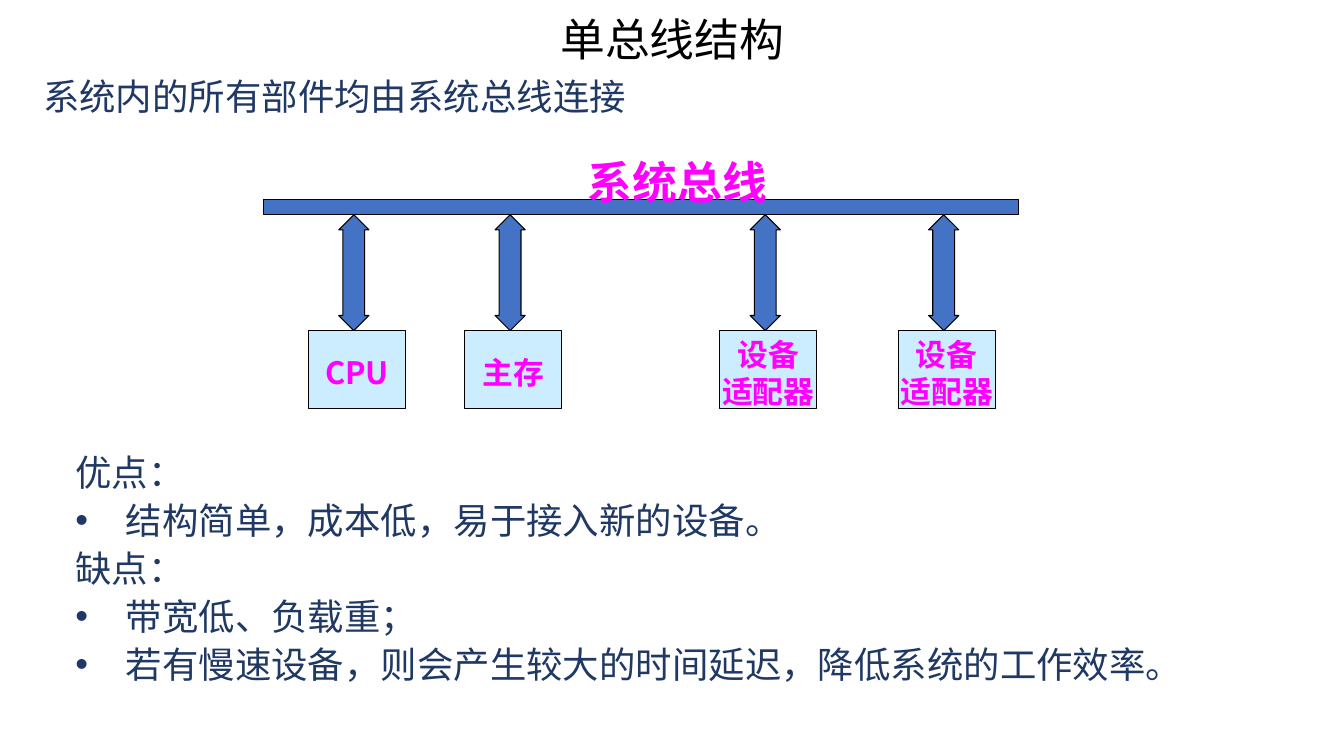
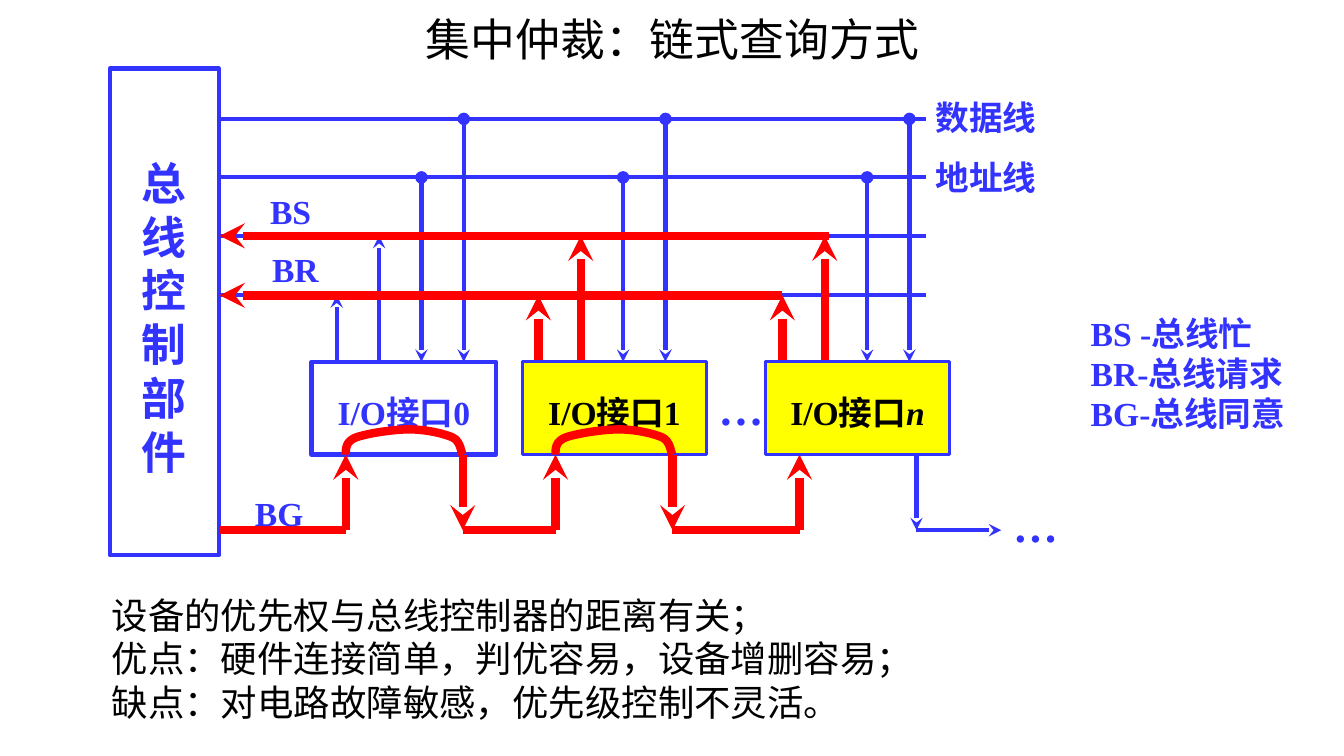
from lxml.etree import SubElement
from pptx import Presentation
from pptx.dml.color import RGBColor
from pptx.enum.shapes import MSO_CONNECTOR, MSO_SHAPE
from pptx.enum.text import MSO_ANCHOR, PP_ALIGN
from pptx.oxml.ns import qn
from pptx.util import Inches, Pt

SANS = "Noto Sans CJK SC"
SERIF = "Times New Roman"
BLACK, NAVY, MAGENTA = "000000", "203864", "FF00FF"
BUS_FILL, PALE_BLUE = "4472C4", "CCECFF"
BLUE, RED, YELLOW = "3333FF", "FF0000", "FFFF00"
LINE_PITCH = 1.19      # line height in ems
BASELINE_DROP = 0.11   # extra drop of the first line in ems


def color(hex_string):
    return RGBColor.from_string(hex_string)


# ---- Text ----
def format_run(run, size, hex_string, font, bold):
    run.font.size = Pt(size)
    run.font.bold = bold
    run.font.color.rgb = color(hex_string)
    run.font.name = font
    SubElement(run.font._element, qn("a:ea"), typeface=SANS)


def add_bullet(paragraph):
    properties = paragraph._p.get_or_add_pPr()
    properties.set("marL", str(Inches(0.5)))
    properties.set("indent", str(-Inches(0.5)))
    SubElement(properties, qn("a:buFont"), typeface="Arial")
    SubElement(properties, qn("a:buChar"), char="•")


def fill_text(shape, text, size, hex_string, font=SANS, bold=False, align=PP_ALIGN.LEFT,
              pitch=LINE_PITCH, middle=False, wrap=False, bullets=(), italic_end=""):
    frame = shape.text_frame
    frame.text = text
    frame.word_wrap = wrap
    drop = Pt(BASELINE_DROP * size)
    if middle:
        frame.vertical_anchor = MSO_ANCHOR.MIDDLE
        frame.margin_left = frame.margin_right = frame.margin_bottom = 0
        frame.margin_top = 2 * drop
    else:
        frame.vertical_anchor = MSO_ANCHOR.TOP
        frame.margin_top = Inches(0.05) + drop
    if italic_end:
        run = frame.paragraphs[-1].add_run()
        run.text = italic_end
        run.font.italic = True
    for index, paragraph in enumerate(frame.paragraphs):
        paragraph.alignment = align
        paragraph.line_spacing = Pt(round(size * pitch, 1))
        if index in bullets:
            add_bullet(paragraph)
        for run in paragraph.runs:
            format_run(run, size, hex_string, font, bold)


def add_text(slide, box, text, size, hex_string, **options):
    shape = slide.shapes.add_textbox(*map(Inches, box))
    fill_text(shape, text, size, hex_string, **options)


def add_title(slide, text):
    add_text(slide, (3.97, 0.02, 5.4, 0.64), text, 32, BLACK, align=PP_ALIGN.CENTER)


# ---- Shapes and lines ----
def add_box(slide, box, fill, line, width, kind=MSO_SHAPE.RECTANGLE):
    shape = slide.shapes.add_shape(kind, *map(Inches, box))
    shape.shadow.inherit = False
    if fill:
        shape.fill.solid()
        shape.fill.fore_color.rgb = color(fill)
    else:
        shape.fill.background()
    shape.line.color.rgb = color(line)
    shape.line.width = Pt(width)
    return shape


def add_line(slide, start, end, hex_string=BLUE, width=3, head=None, tail=None):
    connector = slide.shapes.add_connector(MSO_CONNECTOR.STRAIGHT, *map(Inches, start + end))
    connector.line.color.rgb = color(hex_string)
    connector.line.width = Pt(width)
    properties = connector._element.spPr
    outline = properties.find(qn("a:ln"))
    for tag, arrow in (("a:headEnd", head), ("a:tailEnd", tail)):
        if arrow:
            SubElement(outline, qn(tag), type=arrow)
    SubElement(properties, qn("a:effectLst"))


def add_red_line(slide, start, end, tail=None):
    add_line(slide, start, end, RED, 6, tail=tail)


def bezier_point(points, t):
    weights = ((1 - t) ** 3, 3 * t * (1 - t) ** 2, 3 * t * t * (1 - t), t ** 3)
    return tuple(sum(w * p[axis] for w, p in zip(weights, points)) for axis in (0, 1))


def add_bridge(slide, left, bottom):
    """Red arc that passes the grant through an interface."""
    controls = [(0, 0), (0, -0.06), (0, -0.13), (0.1, -0.17),
                (0.21, -0.21), (0.47, -0.25), (0.63, -0.25),
                (0.79, -0.25), (0.97, -0.21), (1.06, -0.17),
                (1.14, -0.13), (1.14, -0.03), (1.16, 0)]
    steps = 10
    points = [bezier_point(controls[first:first + 4], step / steps)
              for first in range(0, 12, 3) for step in range(1, steps + 1)]
    builder = slide.shapes.build_freeform(Inches(left), Inches(bottom), scale=1.0)
    builder.add_line_segments([(Inches(left + x), Inches(bottom + y)) for x, y in points],
                              close=False)
    arc = builder.convert_to_shape()
    arc.shadow.inherit = False
    arc.fill.background()
    arc.line.color.rgb = color(RED)
    arc.line.width = Pt(6)


# ---- Slide 1: single bus ----
def add_bus_diagram(slide, left, top):
    bus_height, arrow_height = 0.15, 1.15
    add_box(slide, (left, top, 7.49, bus_height), BUS_FILL, BLACK, 0.75)
    devices = ((0.45, "CPU"), (2, "主存"), (4.53, "设备\n适配器"), (6.3, "设备\n适配器"))
    arrow_top = top + bus_height
    for offset, label in devices:
        device_left = left + offset
        arrow = add_box(slide, (device_left + 0.3, arrow_top, 0.3, arrow_height),
                        BUS_FILL, BLACK, 0.75, MSO_SHAPE.UP_DOWN_ARROW)
        arrow.adjustments[0] = 0.5
        arrow.adjustments[1] = 0.72
        device = add_box(slide, (device_left, arrow_top + arrow_height, 0.96, 0.77),
                         PALE_BLUE, BLACK, 0.75, MSO_SHAPE.FLOWCHART_PROCESS)
        fill_text(device, label, 22, MAGENTA, bold=True, align=PP_ALIGN.CENTER, middle=True)
    add_text(slide, (left + 3.12, top - 0.54, 2.37, 0.63), "系统总线", 32, MAGENTA,
             bold=True, wrap=True)


def build_single_bus(slide):
    add_title(slide, "单总线结构")
    add_bus_diagram(slide, 2.61, 1.98)
    add_text(slide, (0.65, 4.33, 12.32, 2.47),
             "优点：\n结构简单，成本低，易于接入新的设备。\n缺点：\n带宽低、负载重；\n"
             "若有慢速设备，则会产生较大的时间延迟，降低系统的工作效率。",
             26, NAVY, pitch=1.32, wrap=True, bullets=(1, 3, 4))
    add_text(slide, (0.33, 0.6, 6.66, 0.55), "系统内的所有部件均由系统总线连接",
             26, NAVY, pitch=1.32, wrap=True)


# ---- Slide 2: daisy chain arbitration ----
DATA, ADDRESS, BUSY, REQUEST, GRANT = 1.18, 1.76, 2.34, 2.93, 5.26
BUS_LEFT, BUS_RIGHT = 2.18, 9.18
BOX_TOP, BOX_BOTTOM = 3.59, 4.51
SIGNAL_STEP, GRANT_SPAN = 0.42, 1.16
# box left, first signal line, grant input
INTERFACES = ((3.09, 3.34, 3.43), (5.18, 5.34, 5.51), (7.59, 7.76, 7.93))


def add_buses(slide):
    controller = add_box(slide, (1.09, 0.68, 1.08, 4.83), None, BLUE, 3)
    fill_text(controller, "\n".join("总线控制部件"), 32, BLUE, font=SERIF, bold=True,
              align=PP_ALIGN.CENTER, middle=True, pitch=1.2)
    for level in (DATA, ADDRESS, BUSY, REQUEST):
        add_line(slide, (BUS_LEFT, level), (BUS_RIGHT, level))


def add_signals(slide, first, active):
    """Request and busy go up; address and data come down."""
    draw_up = add_red_line if active else add_line
    request, busy, address, data = (first + SIGNAL_STEP * step for step in range(4))
    for x, level in ((request, REQUEST), (busy, BUSY)):
        draw_up(slide, (x, BOX_TOP), (x, level), tail="stealth")
    for x, level in ((address, ADDRESS), (data, DATA)):
        add_line(slide, (x, level), (x, BOX_TOP), head="oval", tail="stealth")


def add_interface(slide, left, label, active, italic_end=""):
    box = add_box(slide, (left, BOX_TOP, 1.83, BOX_BOTTOM - BOX_TOP),
                  YELLOW if active else None, BLUE, 2.25 if active else 3)
    fill_text(box, label, 24, BLACK if active else BLUE, font=SERIF, bold=True,
              align=PP_ALIGN.CENTER, middle=True, italic_end=italic_end)


def add_grant_chain(slide):
    start = BUS_LEFT
    for _, _, grant_in in INTERFACES:
        add_red_line(slide, (start, GRANT), (grant_in, GRANT))
        add_red_line(slide, (grant_in, GRANT), (grant_in, BOX_BOTTOM), tail="stealth")
        start = grant_in + GRANT_SPAN
        if grant_in != INTERFACES[-1][2]:
            add_bridge(slide, grant_in, BOX_BOTTOM)
            add_red_line(slide, (start, BOX_BOTTOM), (start, GRANT), tail="stealth")
    add_line(slide, (start, BOX_BOTTOM), (start, GRANT), tail="stealth")
    add_line(slide, (start, GRANT), (9.93, GRANT), tail="stealth")


def add_labels(slide):
    labels = (("数据线", 9.18, 0.88, 1.21, 24), ("地址线", 9.18, 1.47, 1.21, 24),
              ("BS", 2.58, 1.81, 0.61, 24), ("BR", 2.6, 2.39, 0.66, 24),
              ("BG", 2.43, 4.81, 0.68, 24),
              ("…", 7.03, 3.68, 0.65, 32), ("…", 9.95, 4.84, 0.65, 32))
    for text, left, top, width, size in labels:
        add_text(slide, (left, top, width, 0.5), text, size, BLUE, font=SERIF, bold=True)
    add_text(slide, (10.72, 3.02, 2.13, 2.1), "BS -总线忙\nBR-总线请求\nBG-总线同意",
             24, BLUE, font=SERIF, bold=True, wrap=True)


def build_daisy_chain(slide):
    add_title(slide, "集中仲裁：链式查询方式")
    add_buses(slide)
    for index, (_, first, _) in enumerate(INTERFACES):
        add_signals(slide, first, active=index > 0)
    for level, right in ((BUSY, 8.22), (REQUEST, 7.76)):
        add_red_line(slide, (right, level), (BUS_LEFT, level), tail="stealth")
    lefts = [interface[0] for interface in INTERFACES]
    add_interface(slide, lefts[0], "I/O接口0", False)
    add_interface(slide, lefts[1], "I/O接口1", True)
    add_interface(slide, lefts[2], "I/O接口", True, italic_end="n")
    add_grant_chain(slide)
    add_labels(slide)
    add_text(slide, (1.01, 5.8, 11.99, 1.41),
             "设备的优先权与总线控制器的距离有关；\n"
             "优点：硬件连接简单，判优容易，设备增删容易；\n"
             "缺点：对电路故障敏感，优先级控制不灵活。", 26, BLACK, wrap=True)


def main():
    presentation = Presentation()
    presentation.slide_width = Inches(13.33)
    presentation.slide_height = Inches(7.5)
    for build in (build_single_bus, build_daisy_chain):
        build(presentation.slides.add_slide(presentation.slide_layouts[6]))
    presentation.save("out.pptx")


if __name__ == "__main__":
    main()
